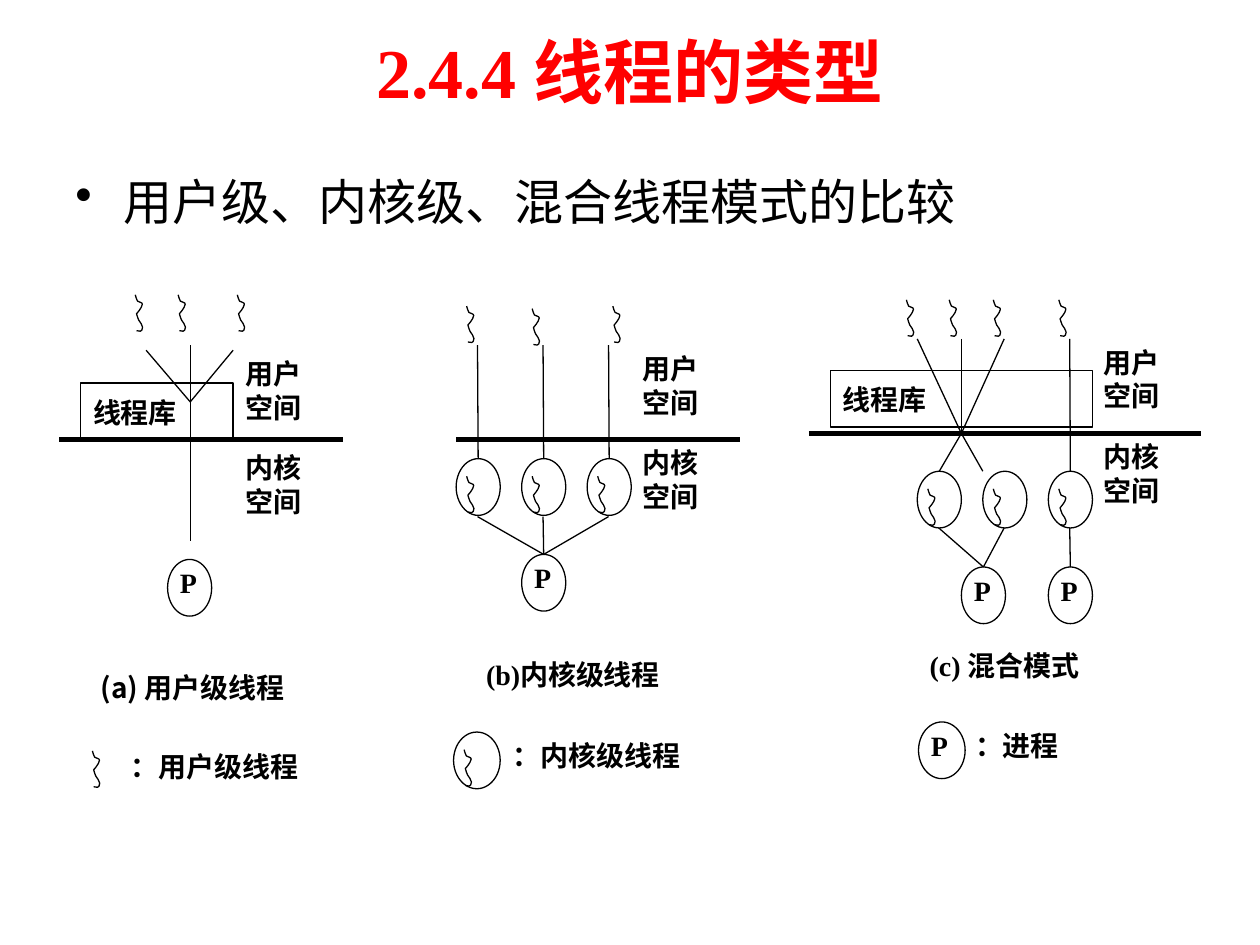
from lxml import etree
from pptx import Presentation
from pptx.dml.color import RGBColor
from pptx.enum.shapes import MSO_CONNECTOR, MSO_SHAPE
from pptx.enum.text import MSO_ANCHOR, PP_ALIGN
from pptx.oxml.ns import qn
from pptx.util import Pt

PX = 9144  # EMU in one px, 100 px to the inch
TENTH = 10  # wave points are in tenths of a px
STRAIGHT = MSO_CONNECTOR.STRAIGHT
OVAL, RECTANGLE = MSO_SHAPE.OVAL, MSO_SHAPE.RECTANGLE
CENTER, JUSTIFY, LEFT = PP_ALIGN.CENTER, PP_ALIGN.JUSTIFY, PP_ALIGN.LEFT
MIDDLE, TOP = MSO_ANCHOR.MIDDLE, MSO_ANCHOR.TOP
TOP_SITE = 0

COLORS = {"ink": "000000", "title": "FF0000"}
SERIF, SANS = "Times New Roman", "Noto Sans CJK SC"
NODE_W, NODE_H = 35, 45
# Start point, then three control points for each Bézier curve
WAVE = [(34, -10),
        (40, 7), (42, 25), (52, 40), (60, 50), (92, 48), (90, 65),
        (87, 95), (44, 140), (44, 140), (50, 158), (53, 175), (61, 190),
        (70, 210), (93, 227), (92, 247), (90, 290), (63, 280), (44, 275)]


class Diagram:
    def __init__(self, page):
        self.shapes = page.shapes

    def ink(self, line, width=0.75):
        line.color.rgb = RGBColor.from_string(COLORS["ink"])
        line.width = Pt(width)

    def text(self, words, x, y, w, h, size=16, bold=True, font=SERIF,
             color="ink", align=JUSTIFY, anchor=TOP):
        box = self.shapes.add_textbox(x * PX, y * PX, w * PX, h * PX)
        frame = box.text_frame
        frame.word_wrap = True
        frame.vertical_anchor = anchor
        frame.text = words
        for para in frame.paragraphs:
            para.alignment = align
            para.font.size = Pt(size)
            para.font.bold = bold
            para.font.name = font
            para.font.color.rgb = RGBColor.from_string(COLORS[color])
        return box

    def bullet(self, words, x, y, w, h):
        box = self.text(words, x, y, w, h, size=28, bold=False, align=LEFT)
        properties = box.text_frame.paragraphs[0]._p.get_or_add_pPr()
        properties.set("marL", str(38 * PX))
        properties.set("indent", str(-38 * PX))
        mark = etree.Element(qn("a:buChar"), char="•")
        properties.insert_element_before(mark, "a:tabLst", "a:defRPr")

    def outline(self, kind, x, y, w, h):
        shape = self.shapes.add_shape(kind, x * PX, y * PX, w * PX, h * PX)
        shape.shadow.inherit = False
        shape.fill.background()
        self.ink(shape.line)
        return shape

    def line(self, x1, y1, x2, y2, width=0.75, node=None):
        """Draw a line; its end joins the top of node when one is given."""
        line = self.shapes.add_connector(
            STRAIGHT, x1 * PX, y1 * PX, x2 * PX, y2 * PX)
        if node is not None:
            line.end_connect(node, TOP_SITE)
        self.ink(line.line, width)
        etree.SubElement(line._element.spPr, qn("a:effectLst"))

    def wave(self, x, y):
        """Draw the curved stroke that stands for a thread."""
        builder = self.shapes.build_freeform(*WAVE[0], scale=PX / TENTH)
        builder.add_line_segments(WAVE[1:], close=False)
        shape = builder.convert_to_shape(x * PX, y * PX)
        segments = list(shape._element.iter(qn("a:lnTo")))
        for start in range(0, len(segments), 3):
            curve = etree.Element(qn("a:cubicBezTo"))
            segments[start].addprevious(curve)
            for segment in segments[start:start + 3]:
                curve.append(segment[0])
                segment.getparent().remove(segment)
        shape.shadow.inherit = False
        shape.fill.background()
        self.ink(shape.line)

    def kernel_thread(self, x, y, w=NODE_W):
        node = self.outline(OVAL, x, y, w, NODE_H)
        self.wave(x + 5, y + 15)
        return node

    def process(self, x, y, w=NODE_W):
        node = self.outline(OVAL, x, y, w, NODE_H)
        self.text("P", x, y, 52, NODE_H)
        return node

    def library(self, x, y, w):
        self.outline(RECTANGLE, x, y, w, 45)
        self.text("线程库", x, y + 5, 104, 45)

    def spaces(self, left, right, floor, x, y):
        """Draw the border between user and kernel space, and name both."""
        self.line(left, floor, right, floor, width=3)
        self.text("用户\n空间", x, y, 69, 75)
        self.text("内核\n空间", x, y + 75, 69, 75)

    def user_panel(self):
        self.spaces(47, 272, 349, 185, 278)
        self.library(64, 304, 121)
        for x in (104, 138, 185):
            self.wave(x, 235)
        self.line(151, 274, 151, 429)
        for x in (116, 185):
            self.line(151, 319, x, 278)
        self.process(133, 444)
        self.text("(a) 用户级线程", 70, 527, 194, 45, font=SANS)
        self.wave(70, 597)
        self.text("：用户级线程", 94, 590, 166, 45)

    def kernel_panel(self):
        self.spaces(362, 587, 349, 500, 274)
        for x, y in ((367, 244), (419, 246), (483, 244)):
            self.wave(x, y)
        process = self.process(414, 440)
        for x in (362, 414, 466):
            center = x + NODE_W // 2
            thread = self.kernel_thread(x, 364)
            self.line(center, 274, center, 364, node=thread)
            self.line(center, 410, 431, 440, node=process)
        self.text("(b)内核级线程", 376, 517, 186, 45)
        self.kernel_thread(360, 581, 37)
        self.text("：内核级线程", 397, 581, 166, 45)

    def mixed_panel(self):
        self.spaces(642, 953, 344, 866, 269)
        self.library(659, 294, 208)
        for x in (716, 750, 785, 837):
            self.wave(x, 239)
        for x in (728, 763, 797):
            self.line(x, 269, 763, 344)
        shared, single = [self.process(x, 450) for x in (763, 832)]
        for x, start, process in ((728, (763, 344), shared),
                                  (780, (763, 344), shared),
                                  (832, (849, 269), single)):
            thread = self.kernel_thread(x, 374)
            # The middle thread is met at its left edge
            if x == 780:
                self.line(*start, 780, 374)
            else:
                self.line(*start, x + NODE_W // 2, 374, node=thread)
            self.line(x + NODE_W // 2, 419, 780, 450, node=process)
        self.text("(c) 混合模式", 728, 510, 156, 45)
        self.process(729, 573, 37)
        self.text("：进程", 764, 573, 92, 45)


def main():
    deck = Presentation()
    deck.slide_width, deck.slide_height = 1000 * PX, 750 * PX
    diagram = Diagram(deck.slides.add_slide(deck.slide_layouts[6]))
    diagram.text("2.4.4 线程的类型", 50, 5, 900, 102, size=40,
                 color="title", align=CENTER, anchor=MIDDLE)
    diagram.bullet("用户级、内核级、混合线程模式的比较", 50, 131, 900, 495)
    diagram.user_panel()
    diagram.kernel_panel()
    diagram.mixed_panel()
    deck.save("out.pptx")


if __name__ == "__main__":
    main()
